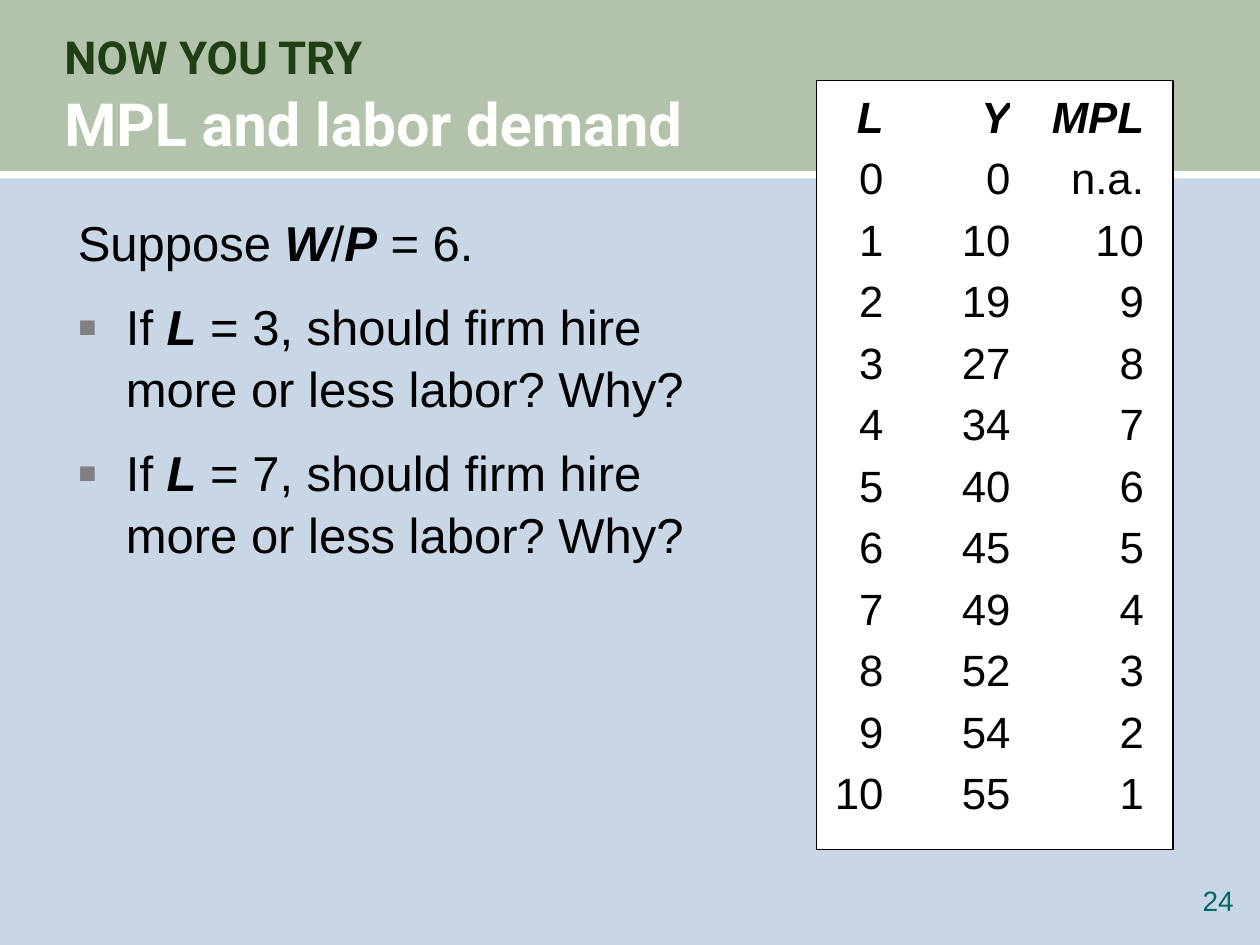
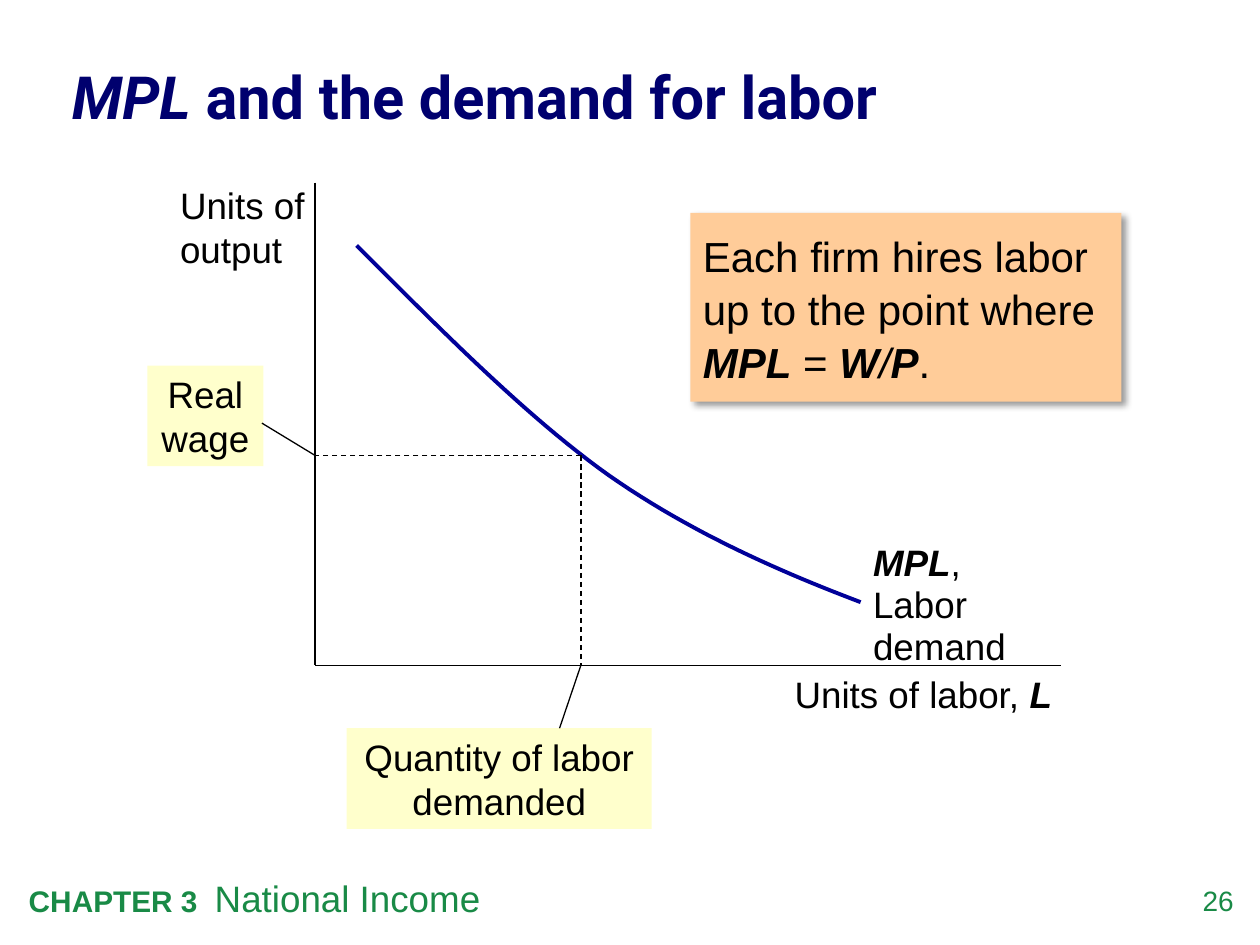
from lxml import etree
from pptx import Presentation
from pptx.dml.color import RGBColor
from pptx.enum.dml import MSO_LINE
from pptx.enum.shapes import MSO_CONNECTOR, MSO_SHAPE
from pptx.enum.text import MSO_ANCHOR, PP_ALIGN
from pptx.oxml.ns import qn
from pptx.util import Cm, Pt

RECT = MSO_SHAPE.RECTANGLE
LINE = MSO_CONNECTOR.STRAIGHT
DASH = MSO_LINE.DASH
TOP, MID = MSO_ANCHOR.TOP, MSO_ANCHOR.MIDDLE
LEFT, CENTER, RIGHT = PP_ALIGN.LEFT, PP_ALIGN.CENTER, PP_ALIGN.RIGHT

# Shared colours and text formats
BLACK, WHITE = "000000", "FFFFFF"
SKY, SAGE, MOSS = "C9D6E5", "B3C2AA", "203F15"
TEAL, GREEN, NAVY, BLUE = "006666", "198A46", "00006E", "000099"
CREAM, PEACH, GREY = "FFFFCC", "FFCC99", "808080"

TITLE = {"name": "Roboto", "size": 34, "bold": True, "italic": False}
BODY = {"name": "Arial", "size": 28, "bold": False, "italic": False}
CELL = {**BODY, "size": 25}
NOTE = {**BODY, "size": 24}
LABEL = {**BODY, "size": 21}
PAGE = {**BODY, "size": 16}
VAR = {"bold": True, "italic": True}

ROWS = [("L", "Y", "MPL"), (0, 0, "n.a."), (1, 10, 10), (2, 19, 9),
        (3, 27, 8), (4, 34, 7), (5, 40, 6), (6, 45, 5), (7, 49, 4),
        (8, 52, 3), (9, 54, 2), (10, 55, 1)]


def rgb(code):
    return RGBColor.from_string(code)


def child(node, tag, **attrs):
    return etree.SubElement(node, qn(tag), attrs)


# Text
def add_run(para, text, form, color):
    run = para.add_run()
    run.text = text
    for key, val in form.items():
        setattr(run.font, key, Pt(val) if key == "size" else val)
    run.font.color.rgb = rgb(color)


def fill_para(para, parts, form, color, align=LEFT, ratio=None):
    """Each part is a string or (string, format changes); \\n breaks the line."""
    para.alignment = align
    if ratio:
        para.line_spacing = ratio
    for part in parts:
        text, change = (part, {}) if isinstance(part, str) else part
        change = dict(change)
        tint = change.pop("color", color)
        for i, line in enumerate(text.split("\n")):
            if i:
                para.add_line_break()
            if line:
                add_run(para, line, {**form, **change}, tint)


def write(shape, paras, form, color=BLACK, align=LEFT, ratio=None,
          anchor=TOP, inset=True):
    frame = shape.text_frame
    frame.word_wrap = True
    frame.vertical_anchor = anchor
    if not inset:
        for side in ("left", "right", "top", "bottom"):
            setattr(frame, "margin_" + side, 0)
    for i, parts in enumerate(paras):
        para = frame.add_paragraph() if i else frame.paragraphs[0]
        fill_para(para, parts, form, color, align, ratio)
    return frame


def add_text(slide, at, paras, form, **opts):
    shape = slide.shapes.add_textbox(*map(Cm, at))
    return write(shape, paras, form, **opts)


def add_title(slide, at, parts, color):
    add_text(slide, at, [parts], TITLE, color=color, ratio=1.05,
             anchor=MID, inset=False)


def add_page(slide, num, color):
    add_text(slide, (23.47, 17.81, 1.4, 0.81), [[num]], PAGE, color=color,
             align=RIGHT, inset=False)


def add_bullet(para):
    para.space_before = Pt(12.6)
    props = para._p.get_or_add_pPr()
    props.set("marL", str(Cm(0.97)))
    props.set("indent", str(-Cm(0.97)))
    child(child(props, "a:buClr"), "a:srgbClr", val=GREY)
    child(props, "a:buSzPct", val="120000")
    child(props, "a:buFont", typeface="Arial")
    child(props, "a:buChar", char="▪")


def add_tab(para, pos):
    tabs = child(para._p.get_or_add_pPr(), "a:tabLst")
    child(tabs, "a:tab", pos=str(Cm(pos)), algn="l")


# Shapes and lines
def add_box(slide, at, fill, line=None):
    box = slide.shapes.add_shape(RECT, *map(Cm, at))
    box.shadow.inherit = False
    box.fill.solid()
    box.fill.fore_color.rgb = rgb(fill)
    if line:
        box.line.color.rgb = rgb(line)
        box.line.width = Pt(0.75)
    else:
        box.line.fill.background()
    return box


def add_shade(box):
    effects = box._element.spPr.find(qn("a:effectLst"))
    shade = child(effects, "a:outerShdw", blurRad=str(Pt(4)), dist=str(Pt(3)),
                  dir="2700000", algn="tl", rotWithShape="0")
    child(child(shade, "a:srgbClr", val=BLACK), "a:alpha", val="40000")


def add_line(slide, start, end, dash=None):
    line = slide.shapes.add_connector(LINE, *map(Cm, start + end))
    line.line.color.rgb = rgb(BLACK)
    line.line.width = Pt(0.75)
    if dash:
        line.line.dash_style = dash
    child(line._element.spPr, "a:effectLst")


def bezier(a, b, c, d, steps=24):
    for i in range(1, steps + 1):
        t = i / steps
        u = 1 - t
        yield tuple(Cm(u**3 * p + 3 * u * u * t * q + 3 * u * t * t * r + t**3 * s)
                    for p, q, r, s in zip(a, b, c, d))


def add_curve(slide, knots):
    pen = slide.shapes.build_freeform(*map(Cm, knots[0]))
    points = []
    for i in range(0, len(knots) - 1, 3):
        points += bezier(*knots[i:i + 4])
    pen.add_line_segments(points, close=False)
    curve = pen.convert_to_shape()
    curve.shadow.inherit = False
    curve.fill.background()
    curve.line.color.rgb = rgb(BLUE)
    curve.line.width = Pt(2.25)


def add_grid(slide, left, top, widths, pitch, rows):
    grid = slide.shapes.add_table(
        len(rows), len(widths), Cm(left), Cm(top),
        Cm(sum(widths)), Cm(pitch * len(rows))).table
    grid.first_row = grid.horz_banding = False
    for col, width in zip(grid.columns, widths):
        col.width = Cm(width)
    for r, row in enumerate(rows):
        grid.rows[r].height = Cm(pitch)
        for c, val in enumerate(row):
            cell = grid.cell(r, c)
            cell.fill.solid()
            cell.fill.fore_color.rgb = rgb(WHITE)
            cell.vertical_anchor = MID
            for side in ("left", "right", "top", "bottom"):
                setattr(cell, "margin_" + side, 0)
            form = CELL if r else {**CELL, **VAR}
            fill_para(cell.text_frame.paragraphs[0], [str(val)], form, BLACK, RIGHT)


def add_slide(deck, color):
    slide = deck.slides.add_slide(deck.slide_layouts[6])
    slide.background.fill.solid()
    slide.background.fill.fore_color.rgb = rgb(color)
    return slide


# Slides
def make_task(deck):
    slide = add_slide(deck, SKY)
    add_box(slide, (0, 0, 25.4, 3.54), SAGE)
    add_title(slide, (1.3, 0.56, 22.9, 2.62),
              [("NOW YOU TRY\n", {"size": 26, "color": MOSS}),
               "MPL and labor demand"], WHITE)
    add_box(slide, (0, 3.45, 25.4, 0.15), WHITE)
    add_page(slide, "24", TEAL)

    asks = [["If ", ("L", VAR),
             f" = {num}, should firm hire more or less labor? Why?"]
            for num in (3, 7)]
    intro = ["Suppose ", ("W", VAR), "/", ("P", VAR), " = 6."]
    frame = add_text(slide, (1.32, 4.11, 14.27, 12.9), [intro] + asks, BODY,
                     ratio=1.05)
    for para in frame.paragraphs[1:]:
        add_bullet(para)

    add_box(slide, (16.46, 1.63, 7.19, 15.49), WHITE, BLACK)
    add_grid(slide, 16.5, 1.76, (1.31, 2.56, 2.69), 1.24, ROWS)


def make_graph(deck):
    slide = add_slide(deck, WHITE)
    add_page(slide, "26", GREEN)
    frame = add_text(slide, (0.33, 17.53, 20.78, 1.14),
                     [[("CHAPTER 3\t", {"size": 17, "bold": True}),
                       "National Income"]], LABEL, color=GREEN)
    add_tab(frame.paragraphs[0], 3.75)
    add_title(slide, (1.45, 0.66, 22.2, 2.49),
              [("MPL", VAR), " and the demand for labor"], NAVY)

    # Rule for hiring
    note = add_box(slide, (13.92, 4.29, 8.69, 3.81), PEACH)
    add_shade(note)
    write(note, [["Each firm hires labor \nup to the point where ", ("MPL", VAR),
                  " = ", ("W", VAR), ("/", {"italic": True}), ("P", VAR), "."]],
          NOTE, ratio=1.05, anchor=MID)

    # Axes
    left, base = 6.35, 13.41
    add_line(slide, (left, 3.68), (left, base))
    add_line(slide, (left, base), (21.39, base))
    add_text(slide, (3.38, 3.56, 3.38, 2.03), [["Units of output"]], LABEL)
    add_text(slide, (15.77, 13.49, 5.92, 1.09),
             [["Units of labor, ", ("L", VAR)]], LABEL, ratio=0.95)

    # Demand curve
    add_curve(slide, [(7.19, 4.95), (8.89, 6.65), (10.59, 8.38), (12.27, 9.58),
                      (13.97, 10.77), (15.82, 11.56), (17.35, 12.14)])
    add_text(slide, (17.35, 10.82, 4.24, 2.79),
             [[("MPL", VAR), ", Labor demand"]], LABEL, ratio=0.95)

    # Wage and quantity, each with a guide, a tag and a leader
    wage, hired = 9.18, 11.71
    for foot, at, text, tip in (
            ((left, wage), (2.97, 7.37, 2.34, 2.03), "Real wage", (5.28, 8.53)),
            ((hired, base), (6.99, 14.68, 6.15, 2.03),
             "Quantity of labor demanded", (11.28, 14.68))):
        add_line(slide, (hired, wage), foot, DASH)
        write(add_box(slide, at, CREAM), [[text]], LABEL, align=CENTER)
        add_line(slide, foot, tip)


def main():
    deck = Presentation()
    deck.slide_width, deck.slide_height = Cm(25.4), Cm(19.05)
    make_task(deck)
    make_graph(deck)
    deck.save("out.pptx")


if __name__ == "__main__":
    main()
